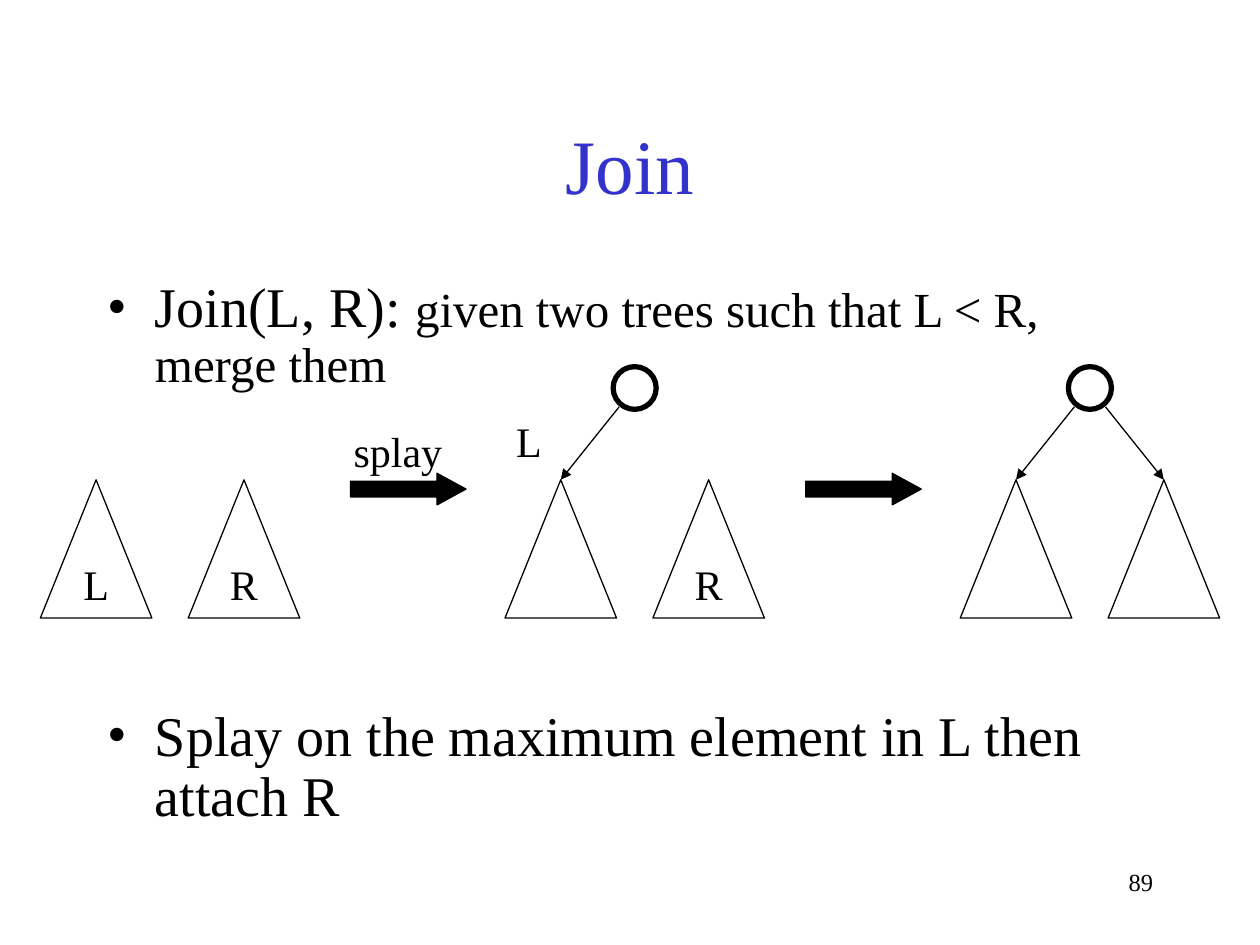
import collections

import lxml.etree
import pptx
import pptx.dml.color
import pptx.enum.shapes
import pptx.enum.text
import pptx.oxml.ns
import pptx.util

Theme = collections.namedtuple("Theme", "font ink accent title body detail label number thin thick")
THEME = Theme("Times New Roman", "000000", "3333CC", 44, 32, 28, 24, 14, 0.75, 3)
Box = collections.namedtuple("Box", "x y w h")
SHAPE = pptx.enum.shapes.MSO_SHAPE
ALIGN = pptx.enum.text.PP_ALIGN
ANCHOR = pptx.enum.text.MSO_ANCHOR


def color(value):
    return pptx.dml.color.RGBColor.from_string(value)


def emu(*lengths):
    return [pptx.util.Inches(v) for v in lengths]


def part(box, x, y, w, h):
    """Turn shares of a box into a box in inches."""
    return Box(box.x + x * box.w, box.y + y * box.h, w * box.w, h * box.h)


def add_xml(parent, tag, **attributes):
    return lxml.etree.SubElement(parent, pptx.oxml.ns.qn(tag), **attributes)


def write(p, text, size=THEME.label, fill=THEME.ink, align=None):
    if align is not None:
        p.alignment = align
    r = p.add_run()
    r.text = text
    r.font.name, r.font.size = THEME.font, pptx.util.Pt(size)
    r.font.color.rgb = color(fill)


def add_label(s, box, text, wrap=False, **style):
    tf = s.shapes.add_textbox(*emu(*box)).text_frame
    tf.word_wrap = wrap
    write(tf.paragraphs[0], text, **style)


def add_outline(s, kind, box, width=THEME.thin, solid=False, text=None):
    sp = s.shapes.add_shape(kind, *emu(*box))
    sp.shadow.inherit = False
    if solid:
        sp.fill.solid()
        sp.fill.fore_color.rgb = color(THEME.ink)
    else:
        sp.fill.background()
    sp.line.color.rgb = color(THEME.ink)
    sp.line.width = pptx.util.Pt(width)
    if text:
        tf = sp.text_frame
        tf.word_wrap = False
        tf.vertical_anchor = ANCHOR.MIDDLE
        write(tf.paragraphs[0], text, align=ALIGN.CENTER)
    return sp


def add_edge(s, box, x1, y1, x2, y2):
    start, end = part(box, x1, y1, 0, 0), part(box, x2, y2, 0, 0)
    line = s.shapes.add_connector(pptx.enum.shapes.MSO_CONNECTOR.STRAIGHT,
                                  *emu(start.x, start.y, end.x, end.y))
    line.line.color.rgb = color(THEME.ink)
    line.line.width = pptx.util.Pt(THEME.thin)
    add_xml(line.line._get_or_add_ln(), "a:tailEnd", type="triangle")
    add_xml(line._element.spPr, "a:effectLst")


def add_trees(s, box, labels=(None, None), children=0):
    """Draw two subtrees and, if it has children, the root pointing to them."""
    for i, label in enumerate(labels):
        add_outline(s, SHAPE.ISOSCELES_TRIANGLE, part(box, 0.57 * i, 0.45, 0.43, 0.55), text=label)
    if children:
        add_outline(s, SHAPE.OVAL, part(box, 0.417, 0, 0.166, 0.17), THEME.thick)
    for i in range(children):
        add_edge(s, box, 0.44 + 0.12 * i, 0.16, 0.215 + 0.57 * i, 0.45)


def add_step(s, box, text=None):
    """Draw a block arrow along the foot of the box, with its name above."""
    arrow = add_outline(s, SHAPE.RIGHT_ARROW, part(box, 0, 0.63, 1, 0.37), solid=True)
    arrow.adjustments[1] = 0.917
    if text:
        add_label(s, part(box, -0.08, 0, 1, 0.74), text)


def fill_title(sp, box):
    sp.left, sp.top, sp.width, sp.height = emu(*box)
    tf = sp.text_frame
    tf.auto_size = pptx.enum.text.MSO_AUTO_SIZE.NONE
    tf.vertical_anchor = ANCHOR.MIDDLE
    write(tf.paragraphs[0], "Join", size=THEME.title, fill=THEME.accent, align=ALIGN.CENTER)


def fill_body(sp, box):
    sp.left, sp.top, sp.width, sp.height = emu(*box)
    tf = sp.text_frame
    tf.auto_size = pptx.enum.text.MSO_AUTO_SIZE.NONE
    bullets = [
        (0, [("Join(L, R): ", THEME.body),
             ("given two trees such that L < R, merge them", THEME.detail)]),
        (180, [("Splay on the maximum element in L then attach R", THEME.body)]),
    ]
    for i, (gap, runs) in enumerate(bullets):
        p = tf.add_paragraph() if i else tf.paragraphs[0]
        indent = pptx.util.Inches(0.38)
        pPr = p._p.get_or_add_pPr()
        pPr.set("marL", str(indent))
        pPr.set("indent", str(-indent))
        add_xml(add_xml(pPr, "a:buClr"), "a:srgbClr", val=THEME.ink)
        add_xml(pPr, "a:buFont", typeface=THEME.font)
        add_xml(pPr, "a:buChar", char="•")
        p.line_spacing = 0.9
        p.space_before = pptx.util.Pt(gap)
        for text, size in runs:
            write(p, text, size=size)


def add_diagram(s, box):
    """Show the join in three stages, left to right."""
    add_trees(s, part(box, 0, 0, 0.22, 1), labels=("L", "R"))
    add_step(s, part(box, 0.263, 0.21, 0.098, 0.34), "splay")
    add_trees(s, part(box, 0.394, 0, 0.22, 1), labels=(None, "R"), children=1)
    add_step(s, part(box, 0.649, 0.21, 0.098, 0.34))
    add_trees(s, part(box, 0.78, 0, 0.22, 1), children=2)
    add_label(s, part(box, 0.393, 0.17, 0.043, 0.25), "L")


def main():
    prs = pptx.Presentation()
    prs.slide_width, prs.slide_height = emu(10, 7.5)
    page = Box(0, 0, 10, 7.5)
    s = prs.slides.add_slide(prs.slide_layouts[1])
    fill_title(s.shapes.title, part(page, 0.075, 0.09, 0.85, 0.167))
    fill_body(s.placeholders[1], part(page, 0.075, 0.289, 0.85, 0.6))
    add_diagram(s, part(page, 0.032, 0.388, 0.936, 0.266))
    add_label(s, part(page, 0.717, 0.911, 0.208, 0.067), "89", wrap=True,
              size=THEME.number, align=ALIGN.RIGHT)
    prs.save("out.pptx")


if __name__ == "__main__":
    main()
